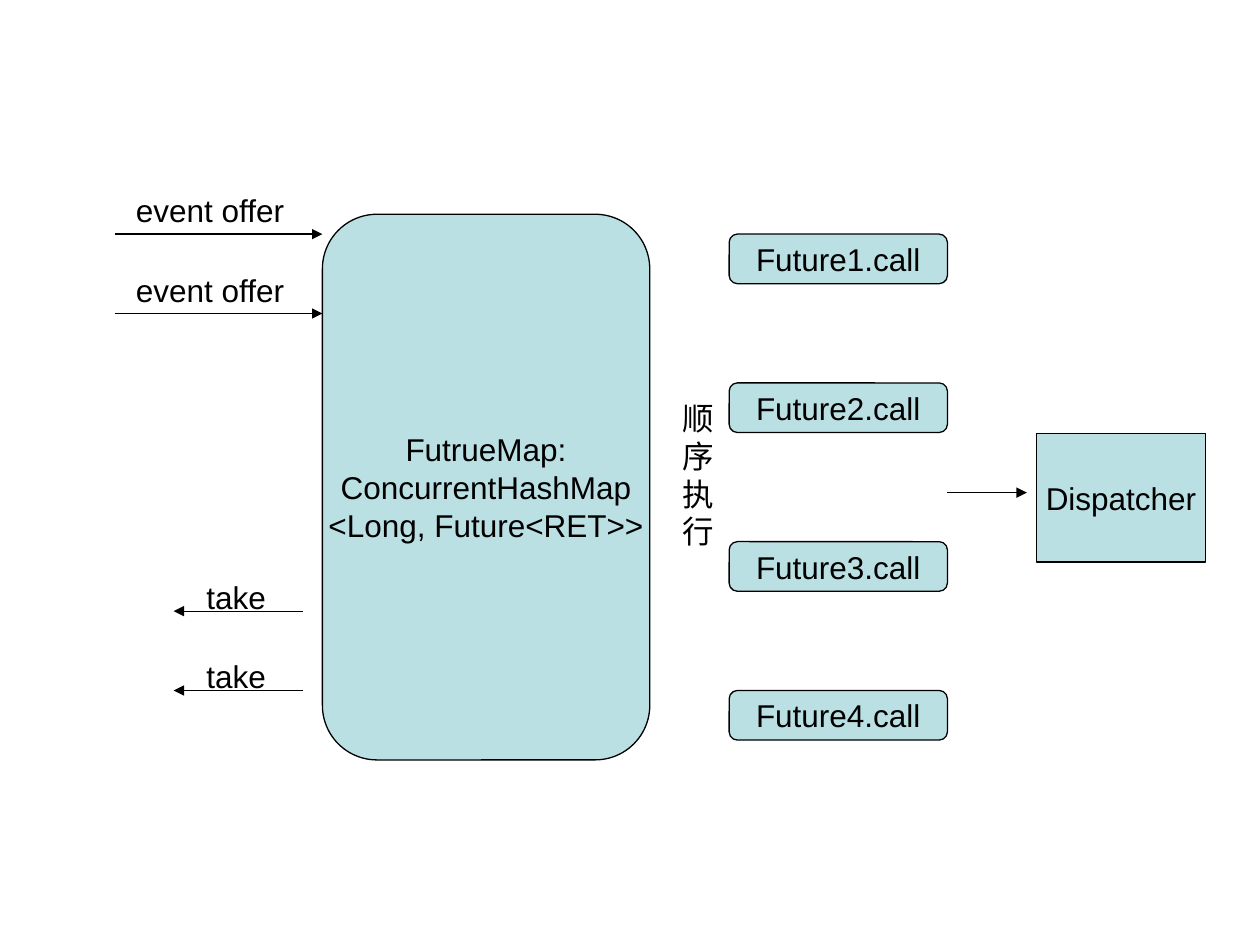
from dataclasses import dataclass

from lxml.etree import SubElement
from pptx import Presentation
from pptx.dml.color import RGBColor as RGB
from pptx.enum.shapes import MSO_CONNECTOR as CONN, MSO_SHAPE as SHAPE
from pptx.enum.text import MSO_ANCHOR as ANCHOR, MSO_AUTO_SIZE as AUTO, PP_ALIGN as ALIGN
from pptx.oxml.ns import qn
from pptx.util import Cm, Pt


@dataclass(frozen=True)
class Theme:
    font: str = "Arial"
    size: float = 18
    line_width: float = 0.75
    ink: RGB = RGB(0, 0, 0)
    box: RGB = RGB(0xBB, 0xE0, 0xE3)


THEME = Theme()

OFFERS = dict(text="event offer", rows=(4.72, 6.32), start=2.31, end=6.5,
              left=2.49, width=3.81, rise=0.99)
TAKES = dict(text="take", rows=(12.32, 13.92), start=6.1, end=3.5,
             left=3.91, width=2.59, rise=0.79)
MAP_LINES = ["FutrueMap:", "ConcurrentHashMap", "<Long, Future<RET>>"]
MAP_BOX = (6.5, 4.32, 6.6, 11)
FUTURE_TOPS = (4.72, 7.72, 10.92, 13.92)
FUTURE_LEFT, FUTURE_WIDTH, FUTURE_HEIGHT = 14.7, 4.4, 1
ORDER_BOX = (13.51, 7.92, 1.3, 3.3)
DISPATCHER_BOX = (20.9, 8.74, 3.4, 2.59)
LABEL_HEIGHT = 1.02


def write(sp, lines, align=ALIGN.LEFT, anchor=ANCHOR.TOP, wrap=True, grow=False):
    tf = sp.text_frame
    tf.word_wrap = wrap
    tf.auto_size = AUTO.SHAPE_TO_FIT_TEXT if grow else AUTO.NONE
    tf.vertical_anchor = anchor
    tf.text = "\n".join(lines)
    for p in tf.paragraphs:
        p.alignment = align
        for r in p.runs:
            r.font.name = THEME.font
            r.font.size = Pt(THEME.size)
            r.font.color.rgb = THEME.ink


def add_box(shapes, kind, box, lines):
    sp = shapes.add_shape(kind, *map(Cm, box))
    sp.shadow.inherit = False
    sp.fill.solid()
    sp.fill.fore_color.rgb = THEME.box
    sp.line.color.rgb = THEME.ink
    sp.line.width = Pt(THEME.line_width)
    write(sp, lines, align=ALIGN.CENTER, anchor=ANCHOR.MIDDLE, wrap=False)


def add_label(shapes, box, text):
    write(shapes.add_textbox(*map(Cm, box)), [text], grow=True)


def add_arrow(shapes, start, end, y):
    line = shapes.add_connector(CONN.STRAIGHT, Cm(start), Cm(y), Cm(end), Cm(y))
    line.line.color.rgb = THEME.ink
    line.line.width = Pt(THEME.line_width)
    SubElement(line.line._get_or_add_ln(), qn("a:tailEnd"), type="triangle")
    SubElement(line._element.spPr, qn("a:effectLst"))


def add_flow(shapes, flow):
    for y in flow["rows"]:
        group = shapes.add_group_shape().shapes
        add_arrow(group, flow["start"], flow["end"], y)
        add_label(group, (flow["left"], y - flow["rise"], flow["width"], LABEL_HEIGHT),
                  flow["text"])


def main():
    prs = Presentation()
    prs.slide_width, prs.slide_height = Cm(25.4), Cm(19.05)
    shapes = prs.slides.add_slide(prs.slide_layouts[6]).shapes

    add_arrow(shapes, 1.27, 1.27, 9.17)
    add_box(shapes, SHAPE.ROUNDED_RECTANGLE, MAP_BOX, MAP_LINES)
    add_flow(shapes, OFFERS)
    add_flow(shapes, TAKES)

    futures = shapes.add_group_shape().shapes
    for number, top in enumerate(FUTURE_TOPS, 1):
        add_box(futures, SHAPE.ROUNDED_RECTANGLE,
                (FUTURE_LEFT, top, FUTURE_WIDTH, FUTURE_HEIGHT),
                [f"Future{number}.call"])

    add_label(shapes, ORDER_BOX, "顺序执行")
    add_arrow(shapes, FUTURE_LEFT + FUTURE_WIDTH, 20.7, 9.93)
    add_box(shapes, SHAPE.RECTANGLE, DISPATCHER_BOX, ["Dispatcher"])
    prs.save("out.pptx")


if __name__ == "__main__":
    main()
